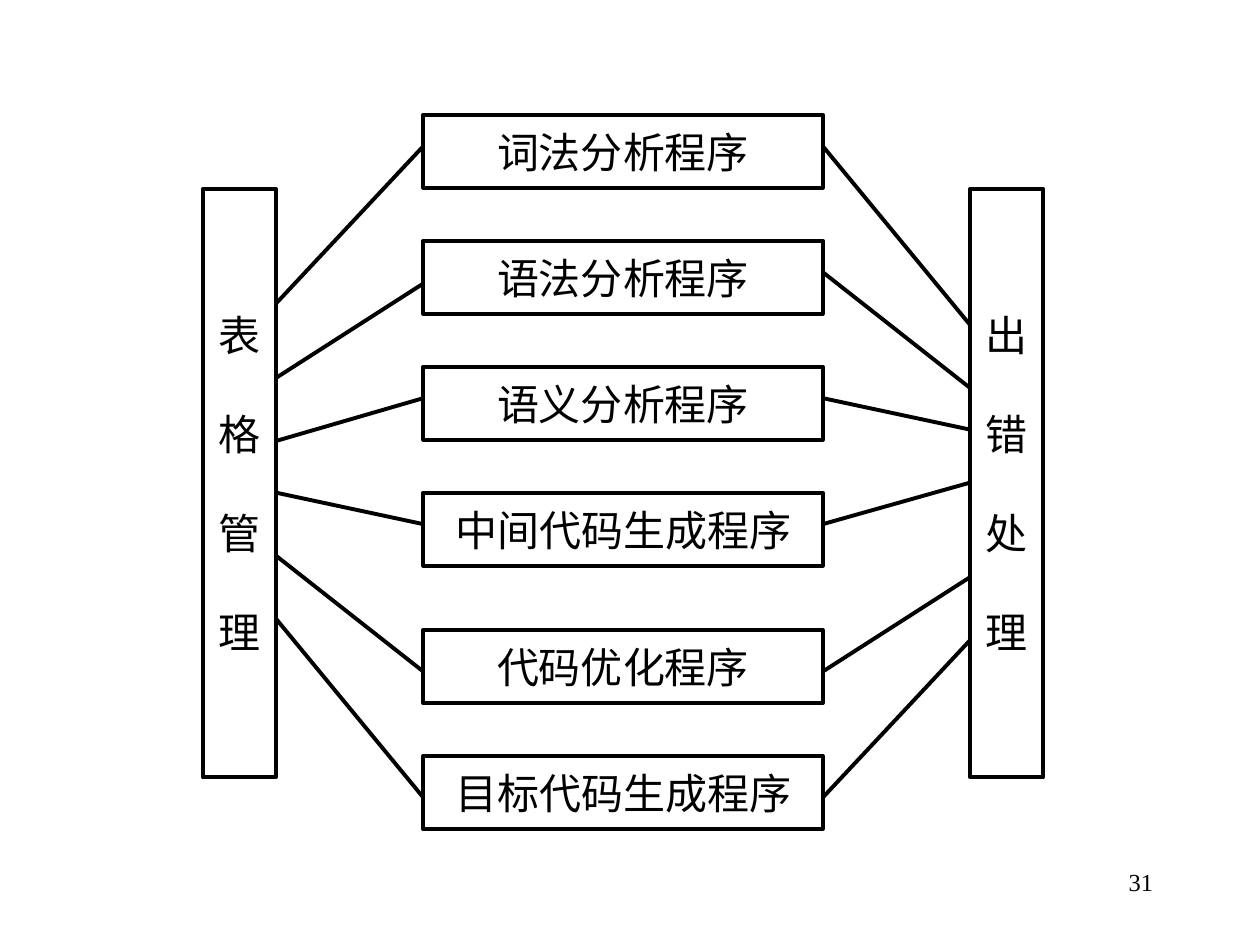
from dataclasses import dataclass

from lxml.etree import SubElement
from pptx import Presentation
from pptx.dml.color import RGBColor
from pptx.enum.shapes import MSO_CONNECTOR as Connector, MSO_SHAPE as Shape
from pptx.enum.text import MSO_ANCHOR as Anchor, PP_ALIGN as Align
from pptx.oxml.ns import qn
from pptx.util import Inches, Pt


@dataclass(frozen=True)
class Theme:
    ink: RGBColor = RGBColor(0, 0, 0)
    paper: RGBColor = RGBColor(255, 255, 255)
    font: str = "Times New Roman"
    label_size: Pt = Pt(24)
    number_size: Pt = Pt(14)
    line_width: Pt = Pt(2.25)
    character_gap: Pt = Pt(27.6)


@dataclass(frozen=True)
class Phase:
    name: str
    top: float
    left_join: float
    table_join: float
    right_join: float
    error_join: float


THEME = Theme()
BOX_LEFT, BOX_WIDTH, BOX_HEIGHT = 3.36, 3.17, 0.58
BOX_RIGHT = BOX_LEFT + BOX_WIDTH
TABLE_LEFT, ERROR_LEFT = 1.61, 7.7
COLUMN_TOP, COLUMN_WIDTH, COLUMN_HEIGHT = 1.5, 0.58, 4.67
TABLE_RIGHT = TABLE_LEFT + COLUMN_WIDTH

PHASES = [
    Phase("词法分析程序", 0.91, 1.16, 2.41, 1.16, 2.58),
    Phase("语法分析程序", 1.91, 2.25, 3, 2.16, 3.08),
    Phase("语义分析程序", 2.91, 3.16, 3.5, 3.16, 3.41),
    Phase("中间代码生成程序", 3.91, 4.16, 3.91, 4.16, 3.83),
    Phase("代码优化程序", 5, 5.33, 4.41, 5.33, 4.58),
    Phase("目标代码生成程序", 6, 6.33, 4.91, 6.33, 5.08),
]


def format_paragraph(paragraph, size, alignment):
    paragraph.alignment = alignment
    paragraph.font.name = THEME.font
    paragraph.font.size = size
    paragraph.font.color.rgb = THEME.ink


def add_box(slide, lines, left, top, width, height):
    shape = slide.shapes.add_shape(
        Shape.RECTANGLE, Inches(left), Inches(top), Inches(width), Inches(height)
    )
    shape.shadow.inherit = False
    shape.fill.solid()
    shape.fill.fore_color.rgb = THEME.paper
    shape.line.color.rgb = THEME.ink
    shape.line.width = THEME.line_width
    frame = shape.text_frame
    frame.word_wrap = False
    frame.vertical_anchor = Anchor.MIDDLE
    frame.text = "\n".join(lines)
    for index, paragraph in enumerate(frame.paragraphs):
        format_paragraph(paragraph, THEME.label_size, Align.CENTER)
        if index:
            paragraph.space_before = THEME.character_gap


def add_column(slide, text, left):
    add_box(slide, text, left, COLUMN_TOP, COLUMN_WIDTH, COLUMN_HEIGHT)


def add_link(slide, x1, y1, x2, y2):
    connector = slide.shapes.add_connector(
        Connector.STRAIGHT, Inches(x1), Inches(y1), Inches(x2), Inches(y2)
    )
    connector.line.color.rgb = THEME.ink
    connector.line.width = THEME.line_width
    SubElement(connector.element.spPr, qn("a:effectLst"))


def add_phase(slide, phase):
    add_box(slide, [phase.name], BOX_LEFT, phase.top, BOX_WIDTH, BOX_HEIGHT)
    add_link(slide, BOX_LEFT, phase.left_join, TABLE_RIGHT, phase.table_join)
    add_link(slide, ERROR_LEFT, phase.error_join, BOX_RIGHT, phase.right_join)


def add_page_number(slide, number):
    box = slide.shapes.add_textbox(
        Inches(7.17), Inches(6.83), Inches(2.08), Inches(0.5)
    )
    box.text_frame.word_wrap = True
    paragraph = box.text_frame.paragraphs[0]
    paragraph.text = number
    format_paragraph(paragraph, THEME.number_size, Align.RIGHT)


def main():
    presentation = Presentation()
    presentation.slide_width = Inches(10)
    presentation.slide_height = Inches(7.5)
    slide = presentation.slides.add_slide(presentation.slide_layouts[6])
    add_page_number(slide, "31")
    add_column(slide, "出错处理", ERROR_LEFT)
    for phase in PHASES:
        add_phase(slide, phase)
    add_column(slide, "表格管理", TABLE_LEFT)
    presentation.save("out.pptx")


if __name__ == "__main__":
    main()
